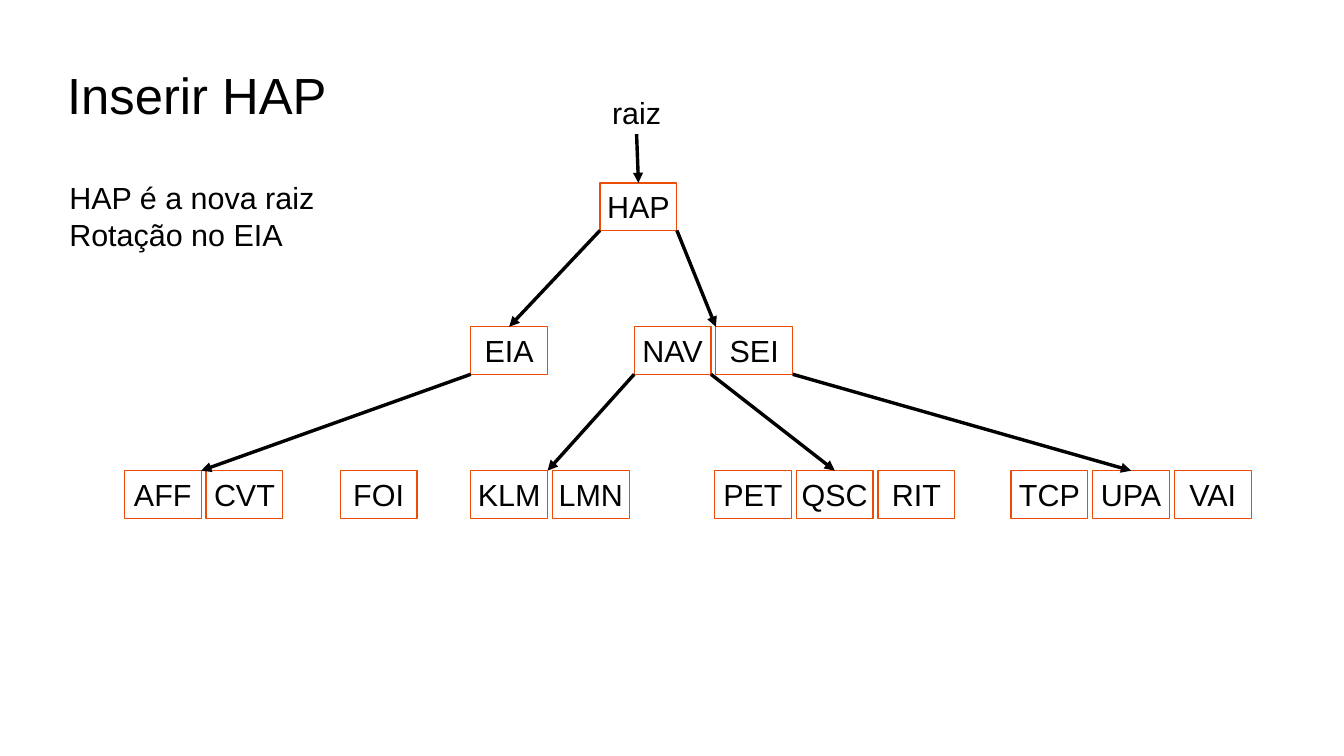
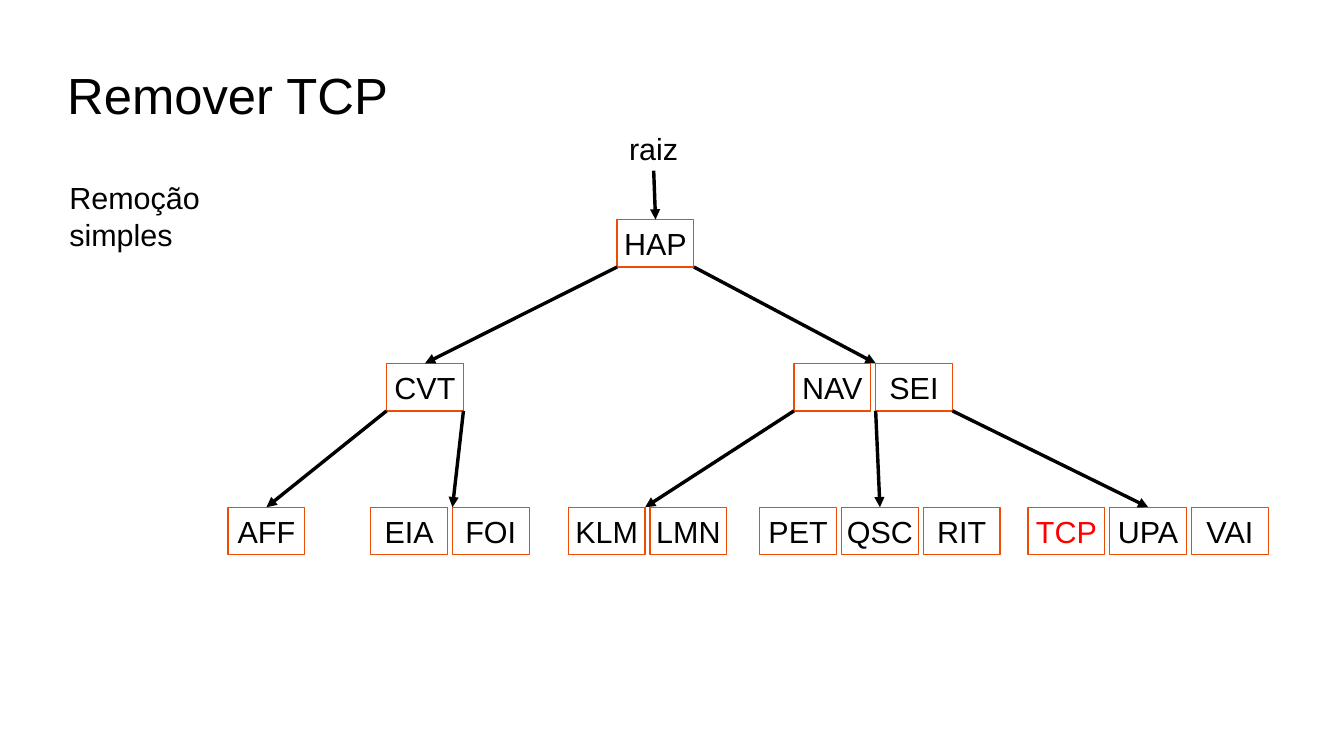
from dataclasses import dataclass

from lxml.etree import SubElement
from pptx import Presentation
from pptx.dml.color import RGBColor
from pptx.enum.shapes import MSO_CONNECTOR, MSO_SHAPE
from pptx.enum.text import MSO_ANCHOR, MSO_AUTO_SIZE, PP_ALIGN
from pptx.oxml.ns import qn
from pptx.util import Inches, Pt


@dataclass(frozen=True)
class Theme:
    font: str = "Arial"
    title_size: int = 30
    body_size: int = 18
    ink: str = "000000"
    paper: str = "FFFFFF"
    border: str = "ED4C05"
    removed: str = "FF0000"


BLANK_LAYOUT = 6
TOP, BOTTOM = 0, 2
KEY_WIDTH, KEY_HEIGHT = 0.63, 0.39
KEY_PITCH = 0.67
LEVEL_PITCH = 1.18
LABEL_WIDTH, LABEL_HEIGHT = 0.6, 0.38
ROOT_ARROW = 0.4

# Nodes are (level, left, keys); edges are (parent, side, child, side).
SLIDES = [
    {
        "title": "Inserir HAP",
        "note": "HAP é a nova raiz\nRotação no EIA",
        "note_size": (2.94, 0.94),
        "top": 1.5,
        "root": "HAP",
        "removed": (),
        "nodes": [
            (0, 4.92, "HAP"),
            (1, 3.86, "EIA"),
            (1, 5.2, "NAV SEI"),
            (2, 1.02, "AFF CVT"),
            (2, 2.79, "FOI"),
            (2, 3.86, "KLM LMN"),
            (2, 5.86, "PET QSC RIT"),
            (2, 8.29, "TCP UPA VAI"),
        ],
        "edges": [
            ("HAP", "left", "EIA", "middle"),
            ("HAP", "right", "SEI", "left"),
            ("EIA", "left", "AFF", "right"),
            ("NAV", "left", "KLM", "right"),
            ("NAV", "right", "QSC", "middle"),
            ("SEI", "right", "UPA", "middle"),
        ],
    },
    {
        "title": "Remover TCP",
        "note": "Remoção simples",
        "note_size": (2.18, 0.38),
        "top": 1.8,
        "root": "HAP",
        "removed": ("TCP",),
        "nodes": [
            (0, 5.06, "HAP"),
            (1, 3.17, "CVT"),
            (1, 6.51, "NAV SEI"),
            (2, 1.87, "AFF"),
            (2, 3.04, "EIA FOI"),
            (2, 4.66, "KLM LMN"),
            (2, 6.23, "PET QSC RIT"),
            (2, 8.43, "TCP UPA VAI"),
        ],
        "edges": [
            ("HAP", "left", "CVT", "middle"),
            ("HAP", "right", "SEI", "left"),
            ("CVT", "left", "AFF", "middle"),
            ("CVT", "right", "FOI", "left"),
            ("NAV", "left", "KLM", "right"),
            ("SEI", "left", "QSC", "middle"),
            ("SEI", "right", "UPA", "middle"),
        ],
    },
]


def side_x(box, side):
    share = {"left": 0, "middle": 0.5, "right": 1}[side]
    return box.left + int(box.width * share)


class TreeDeck:
    """Holds the style, the deck and the page being drawn."""

    def __init__(self, theme):
        self.theme = theme
        self.deck = Presentation()
        self.deck.slide_width = Inches(11.02)
        self.deck.slide_height = Inches(6.2)
        self.page = None

    def new_page(self):
        layout = self.deck.slide_layouts[BLANK_LAYOUT]
        self.page = self.deck.slides.add_slide(layout)
        background = self.page.background.fill
        background.solid()
        background.fore_color.rgb = RGBColor.from_string(self.theme.paper)

    def set_text(self, box, text, size, color, align=PP_ALIGN.LEFT):
        frame = box.text_frame
        frame.text = text
        for para in frame.paragraphs:
            para.alignment = align
            for span in para.runs:
                span.font.name = self.theme.font
                span.font.size = Pt(size)
                span.font.color.rgb = RGBColor.from_string(color)

    def title(self, text):
        box = self.page.shapes.add_textbox(
            Inches(0.55), Inches(0.25), Inches(9.92), Inches(1.04))
        frame = box.text_frame
        frame.word_wrap = True
        frame.vertical_anchor = MSO_ANCHOR.MIDDLE
        frame.margin_left = frame.margin_right = 0
        frame.margin_top = frame.margin_bottom = 0
        self.set_text(box, text, self.theme.title_size, self.theme.ink)

    def label(self, text, left, top, width, height):
        box = self.page.shapes.add_textbox(
            Inches(left), Inches(top), Inches(width), Inches(height))
        box.text_frame.word_wrap = False
        box.text_frame.auto_size = MSO_AUTO_SIZE.SHAPE_TO_FIT_TEXT
        self.set_text(box, text, self.theme.body_size, self.theme.ink)
        return box

    def key_box(self, key, left, top, color):
        box = self.page.shapes.add_shape(
            MSO_SHAPE.RECTANGLE, Inches(left), Inches(top),
            Inches(KEY_WIDTH), Inches(KEY_HEIGHT))
        box.shadow.inherit = False
        box.fill.solid()
        box.fill.fore_color.rgb = RGBColor.from_string(self.theme.paper)
        box.line.color.rgb = RGBColor.from_string(self.theme.border)
        box.line.width = Pt(0)
        box.text_frame.word_wrap = False
        box.text_frame.vertical_anchor = MSO_ANCHOR.MIDDLE
        self.set_text(box, key, self.theme.body_size, color, PP_ALIGN.CENTER)
        return box

    def arrow(self, parent, parent_side, child, child_side):
        """Runs from the bottom of one box to the top of another."""
        line = self.page.shapes.add_connector(
            MSO_CONNECTOR.STRAIGHT,
            side_x(parent, parent_side), parent.top + parent.height,
            side_x(child, child_side), child.top)
        line.line.color.rgb = RGBColor.from_string(self.theme.ink)
        line.line.width = Pt(0)
        properties = line.element.spPr
        SubElement(properties.find(qn("a:ln")), qn("a:tailEnd"), type="triangle")
        SubElement(properties, qn("a:effectLst"))
        if parent_side == "middle":
            line.begin_connect(parent, BOTTOM)
        if child_side == "middle":
            line.end_connect(child, TOP)

    def tree(self, content):
        boxes = {}
        for level, left, keys in content["nodes"]:
            top = content["top"] + level * LEVEL_PITCH
            for index, key in enumerate(keys.split()):
                removed = key in content["removed"]
                color = self.theme.removed if removed else self.theme.ink
                boxes[key] = self.key_box(key, left + index * KEY_PITCH, top, color)
        root = boxes[content["root"]]
        label_top = content["top"] - ROOT_ARROW - LABEL_HEIGHT
        label = self.label("raiz", root.left.inches, label_top,
                           LABEL_WIDTH, LABEL_HEIGHT)
        self.arrow(label, "middle", root, "middle")
        for parent, parent_side, child, child_side in content["edges"]:
            self.arrow(boxes[parent], parent_side, boxes[child], child_side)


def main():
    builder = TreeDeck(Theme())
    for content in SLIDES:
        builder.new_page()
        builder.title(content["title"])
        builder.label(content["note"], 0.47, 1.42, *content["note_size"])
        builder.tree(content)
    builder.deck.save("out.pptx")


if __name__ == "__main__":
    main()
